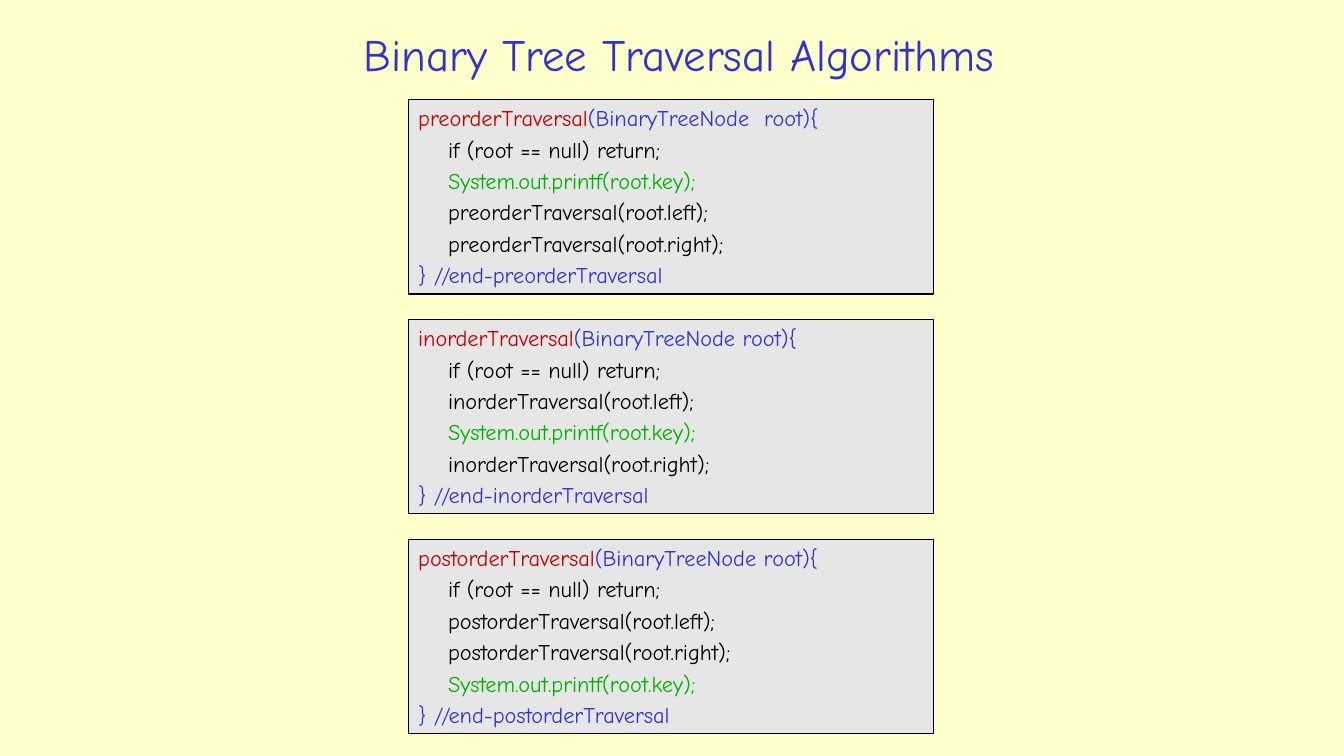
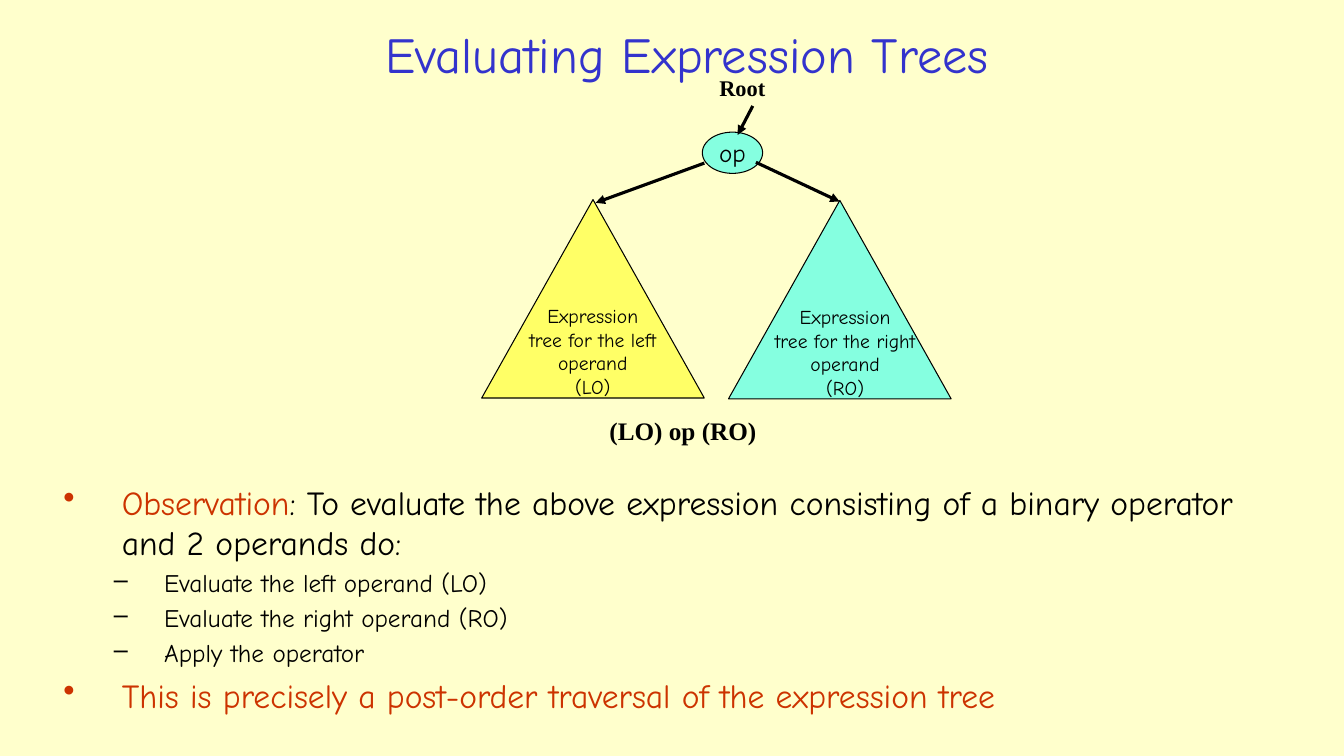
from pptx import Presentation
from pptx.dml.color import RGBColor
from pptx.enum.shapes import MSO_CONNECTOR, MSO_SHAPE
from pptx.enum.text import MSO_ANCHOR, PP_ALIGN
from pptx.oxml.ns import qn
from pptx.util import Cm, Pt
from lxml import etree

RECT = MSO_SHAPE.RECTANGLE
OVAL = MSO_SHAPE.OVAL
TRI = MSO_SHAPE.ISOSCELES_TRIANGLE
LINE = MSO_CONNECTOR.STRAIGHT
LEFT, CENTER = PP_ALIGN.LEFT, PP_ALIGN.CENTER
TOP, MIDDLE = MSO_ANCHOR.TOP, MSO_ANCHOR.MIDDLE
HAND, SERIF = "Comic Neue", "Times New Roman"
COLORS = {
    "page": "FFFFCC", "blue": "3333CC", "red": "C00000", "green": "00AF00",
    "rust": "CC3300", "black": "000000", "gray": "E6E6E6",
    "mint": "85FFE0", "yellow": "FFFF66",
}
PRINT = "System.out.printf(root.key);"


def color(name):
    return RGBColor.from_string(COLORS[name])


def add_page(deck, title, size, shift=0):
    page = deck.slides.add_slide(deck.slide_layouts[6])
    page.background.fill.solid()
    page.background.fill.fore_color.rgb = color("page")
    add_text(page, (5 + shift, 0.38, 24.23, 1.93), [[(title, "blue")]], size,
             align=CENTER, anchor=MIDDLE)
    return page


def write(par, parts, size, font=HAND, bold=False):
    for text, hue in parts:
        run = par.add_run()
        run.text = text
        run.font.size = Pt(size)
        run.font.name = font
        run.font.bold = bold
        run.font.color.rgb = color(hue)


def fill_text(frame, lines, size, font=HAND, bold=False, align=LEFT,
              anchor=TOP, wrap=True, gap=0):
    frame.word_wrap = wrap
    frame.vertical_anchor = anchor
    for num, parts in enumerate(lines):
        par = frame.add_paragraph() if num else frame.paragraphs[0]
        par.alignment = align
        par.space_before = Pt(gap if num else 0)
        write(par, parts, size, font, bold)


def add_text(page, box, lines, size, **style):
    frame = page.shapes.add_textbox(*map(Cm, box)).text_frame
    fill_text(frame, lines, size, **style)


def add_form(page, kind, box, fill):
    form = page.shapes.add_shape(kind, *map(Cm, box))
    form.shadow.inherit = False
    form.fill.solid()
    form.fill.fore_color.rgb = color(fill)
    form.line.color.rgb = color("black")
    form.line.width = Pt(0.75)
    return form


def add_arrow(page, *ends):
    arrow = page.shapes.add_connector(LINE, *map(Cm, ends))
    arrow.line.color.rgb = color("black")
    arrow.line.width = Pt(2.25)
    tip = etree.SubElement(arrow.line._get_or_add_ln(), qn("a:tailEnd"))
    tip.set("type", "triangle")
    etree.SubElement(arrow._element.spPr, qn("a:effectLst"))


def add_code(page, top, name, args, steps):
    box = add_form(page, RECT, (10.29, top, 13.23, 4.9), "gray")
    lines = [[(name, "red"), (args, "blue")]]
    for step in ["if (root == null) return;"] + steps:
        lines.append([("    " + step, "green" if step == PRINT else "black")])
    lines.append([("} //end-" + name, "blue")])
    fill_text(box.text_frame, lines, 16, gap=3.2)


def add_tree(page, left, top, fill, side, width):
    add_form(page, TRI, (left, top, 5.61, 5), fill)
    words = ["Expression", f"tree for the {side}", "operand",
             f"({side[0].upper()}O)"]
    add_text(page, (left + 0.59, top + 2.51, width, 2.64),
             [[(word, "black")] for word in words], 14,
             align=CENTER, wrap=False)


def add_list(page, box, items):
    frame = page.shapes.add_textbox(*map(Cm, box)).text_frame
    frame.word_wrap = True
    for num, (level, parts) in enumerate(items):
        par = frame.add_paragraph() if num else frame.paragraphs[0]
        mark, edge, hang, size = [("•", 1.47, 1.47, 24),
                                  ("–", 2.54, 1.27, 18)][level]
        par.level = level
        props = par._p.get_or_add_pPr()
        props.set("marL", str(Cm(edge)))
        props.set("indent", str(-Cm(hang)))
        etree.SubElement(props, qn("a:buChar")).set("char", mark)
        par.space_before = Pt(size * 0.2 if num else 0)
        write(par, parts, size)


def add_walks(deck):
    page = add_page(deck, "Binary Tree Traversal Algorithms", 32)
    walks = [("preorder", "(BinaryTreeNode  root){", 0),
             ("inorder", "(BinaryTreeNode root){", 1),
             ("postorder", "(BinaryTreeNode root){", 2)]
    for num, (order, args, spot) in enumerate(walks):
        name = order + "Traversal"
        steps = [f"{name}(root.{side});" for side in ("left", "right")]
        steps.insert(spot, PRINT)
        add_code(page, 2.51 + 5.54 * num, name, args, steps)


def add_values(deck):
    page = add_page(deck, "Evaluating Expression Trees", 36, 0.2)
    node = add_form(page, OVAL, (17.7, 3.33, 1.52, 1.04), "mint")
    fill_text(node.text_frame, [[("op", "black")]], 18,
              align=CENTER, anchor=MIDDLE, wrap=False)
    add_arrow(page, 18.97, 2.67, 18.59, 3.4)
    add_arrow(page, 17.75, 4.11, 15.01, 5.11)
    add_arrow(page, 19.05, 4.09, 21.16, 5.08)
    for text, box, size in [("Root", (17.88, 1.75, 1.68, 0.94), 16),
                            ("(LO) op (RO)", (15.11, 10.34, 4.22, 1.02), 18)]:
        add_text(page, box, [[(text, "black")]], size,
                 font=SERIF, bold=True, wrap=False)
    add_list(page, (1.35, 12.01, 31.45, 6.15), [
        (0, [("Observation", "rust"),
             (": To evaluate the above expression consisting of a binary "
              "operator and 2 operands do:", "black")]),
        (1, [("Evaluate the left operand (LO)", "black")]),
        (1, [("Evaluate the right operand (RO)", "black")]),
        (1, [("Apply the operator", "black")]),
        (0, [("This is precisely a post-order traversal of the "
              "expression tree", "rust")]),
    ])
    add_tree(page, 12.14, 5.03, "yellow", "left", 4.42)
    add_tree(page, 18.36, 5.05, "mint", "right", 4.7)


def main():
    deck = Presentation()
    deck.slide_width, deck.slide_height = Cm(33.87), Cm(19.05)
    add_walks(deck)
    add_values(deck)
    deck.save("out.pptx")


if __name__ == "__main__":
    main()
